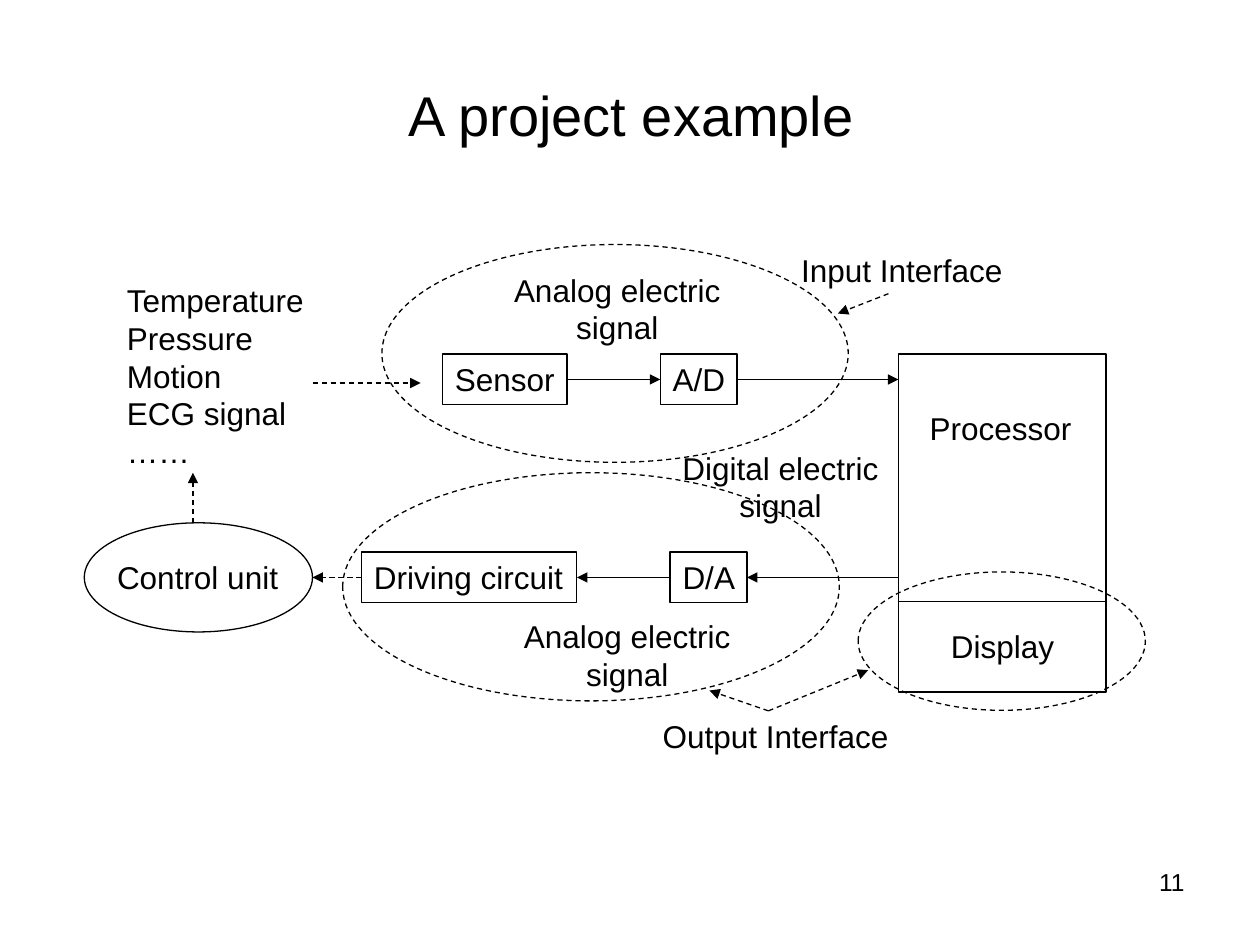
from lxml.etree import SubElement
from pptx import Presentation
from pptx.dml.color import RGBColor
from pptx.enum.dml import MSO_LINE
from pptx.enum.shapes import MSO_CONNECTOR, MSO_SHAPE
from pptx.enum.text import MSO_ANCHOR, MSO_AUTO_SIZE, PP_ALIGN
from pptx.oxml.ns import qn
from pptx.util import Cm, Pt

THEME = {
    "ink": RGBColor(0, 0, 0),
    "font": "Arial",
    "title": 32,
    "body": 18,
    "page": 14,
    "line": 0.75,
}
LEFT, MID, RIGHT = PP_ALIGN.LEFT, PP_ALIGN.CENTER, PP_ALIGN.RIGHT
RECT, OVAL = MSO_SHAPE.RECTANGLE, MSO_SHAPE.OVAL
ROW, HALF = 1.02, 0.51
TOP, LOW = 7.14, 11.13
IN_Y, OUT_Y = TOP + HALF, LOW + HALF
CPU_X, CPU_W = 18.11, 4.19

TITLE = ("A project example", 1.3, 0.71, 22.86, 3.18)
PAGE = ("11", 18.21, 17.35, 5.92, 1.32)

BOXES = [
    ("Sensor", 8.92, TOP, 2.51),
    ("A/D", 13.31, TOP, 1.55),
    ("D/A", 13.51, LOW, 1.55),
    ("Driving circuit", 7.29, LOW, 4.34),
]

LABELS = [
    ("Temperature\nPressure\nMotion\nECG signal\n……", 2.31, 5.54, 4.14, 4.06, LEFT),
    ("Analog electric\nsignal", 10.11, 5.33, 4.67, 1.78, MID),
    ("Digital electric\nsignal", 13.45, 8.92, 4.57, 1.78, MID),
    ("Analog electric\nsignal", 10.31, 12.32, 4.67, 1.78, MID),
    ("Processor", 18.49, 8.13, 3.45, ROW, LEFT),
    ("Display", 18.92, 12.52, 2.65, ROW, LEFT),
    ("Control unit", 2.11, LOW, 3.8, ROW, LEFT),
    ("Input Interface", 15.9, 4.93, 4.62, ROW, LEFT),
    ("Output Interface", 13.11, 14.33, 5.15, ROW, LEFT),
]

FRAMES = [
    (RECT, CPU_X, TOP, CPU_W, 6.81, False),
    (OVAL, 1.7, 10.54, 4.6, 2.2, False),
    (OVAL, 7.7, 4.93, 9.4, 4.39, True),
    (OVAL, 6.91, 9.53, 10.01, 4.6, True),
    (OVAL, 17.3, 11.53, 5.79, 2.79, True),
]

LINES = [
    ((6.3, 7.72), (8.48, 7.72), True, True),
    (("Sensor", 3), ("A/D", 1), False, True),
    (("A/D", 3), (CPU_X, IN_Y), False, True),
    ((CPU_X, OUT_Y), ("D/A", 3), False, True),
    (("D/A", 1), ("Driving circuit", 3), False, True),
    (("Driving circuit", 1), (6.3, OUT_Y), True, True),
    ((3.89, 10.54), (3.89, 9.53), True, True),
    ((CPU_X, 12.12), (CPU_X + CPU_W, 12.12), False, False),
    ((17.91, 5.92), (16.89, 6.32), True, True),
    ((15.49, 14.33), (14.3, 13.92), True, True),
    ((15.49, 14.33), (17.5, 13.51), True, True),
]


def write(shape, text, size, align, wrap=False, anchor=MSO_ANCHOR.TOP):
    frame = shape.text_frame
    frame.text = text
    frame.word_wrap = wrap
    frame.vertical_anchor = anchor
    for para in frame.paragraphs:
        para.alignment = align
        for run in para.runs:
            run.font.name = THEME["font"]
            run.font.size = Pt(size)
            run.font.color.rgb = THEME["ink"]


def stroke(line, dash):
    line.color.rgb = THEME["ink"]
    line.width = Pt(THEME["line"])
    if dash:
        line.dash_style = MSO_LINE.DASH


def label(slide, text, x, y, w, h, size, align, wrap=False, **opts):
    box = slide.shapes.add_textbox(Cm(x), Cm(y), Cm(w), Cm(h))
    write(box, text, size, align, wrap, **opts)
    if not wrap:
        box.text_frame.auto_size = MSO_AUTO_SIZE.SHAPE_TO_FIT_TEXT


def outline(slide, kind, x, y, w, h, dash=False):
    shape = slide.shapes.add_shape(kind, Cm(x), Cm(y), Cm(w), Cm(h))
    shape.shadow.inherit = False
    shape.fill.background()
    stroke(shape.line, dash)
    return shape


def link(slide, nodes, start, end, dash, arrow):
    spots = [(0, 0) if p[0] in nodes else p for p in (start, end)]
    (ax, ay), (bx, by) = spots
    wire = slide.shapes.add_connector(
        MSO_CONNECTOR.STRAIGHT, Cm(ax), Cm(ay), Cm(bx), Cm(by))
    for (node, site), join in ((start, wire.begin_connect), (end, wire.end_connect)):
        if node in nodes:
            join(nodes[node], site)
    stroke(wire.line, dash)
    if arrow:
        SubElement(wire.line._get_or_add_ln(), qn("a:tailEnd"), type="triangle")
    SubElement(wire._element.spPr, qn("a:effectLst"))


def main():
    deck = Presentation()
    deck.slide_width, deck.slide_height = Cm(25.4), Cm(19.05)
    slide = deck.slides.add_slide(deck.slide_layouts[6])
    label(slide, *TITLE, THEME["title"], MID, wrap=True, anchor=MSO_ANCHOR.MIDDLE)
    for frame in FRAMES:
        outline(slide, *frame)
    nodes = {}
    for text, x, y, w in BOXES:
        nodes[text] = outline(slide, RECT, x, y, w, ROW)
        write(nodes[text], text, THEME["body"], LEFT)
    for *place, align in LABELS:
        label(slide, *place, THEME["body"], align)
    for line in LINES:
        link(slide, nodes, *line)
    label(slide, *PAGE, THEME["page"], RIGHT, wrap=True)
    deck.save("out.pptx")


if __name__ == "__main__":
    main()
